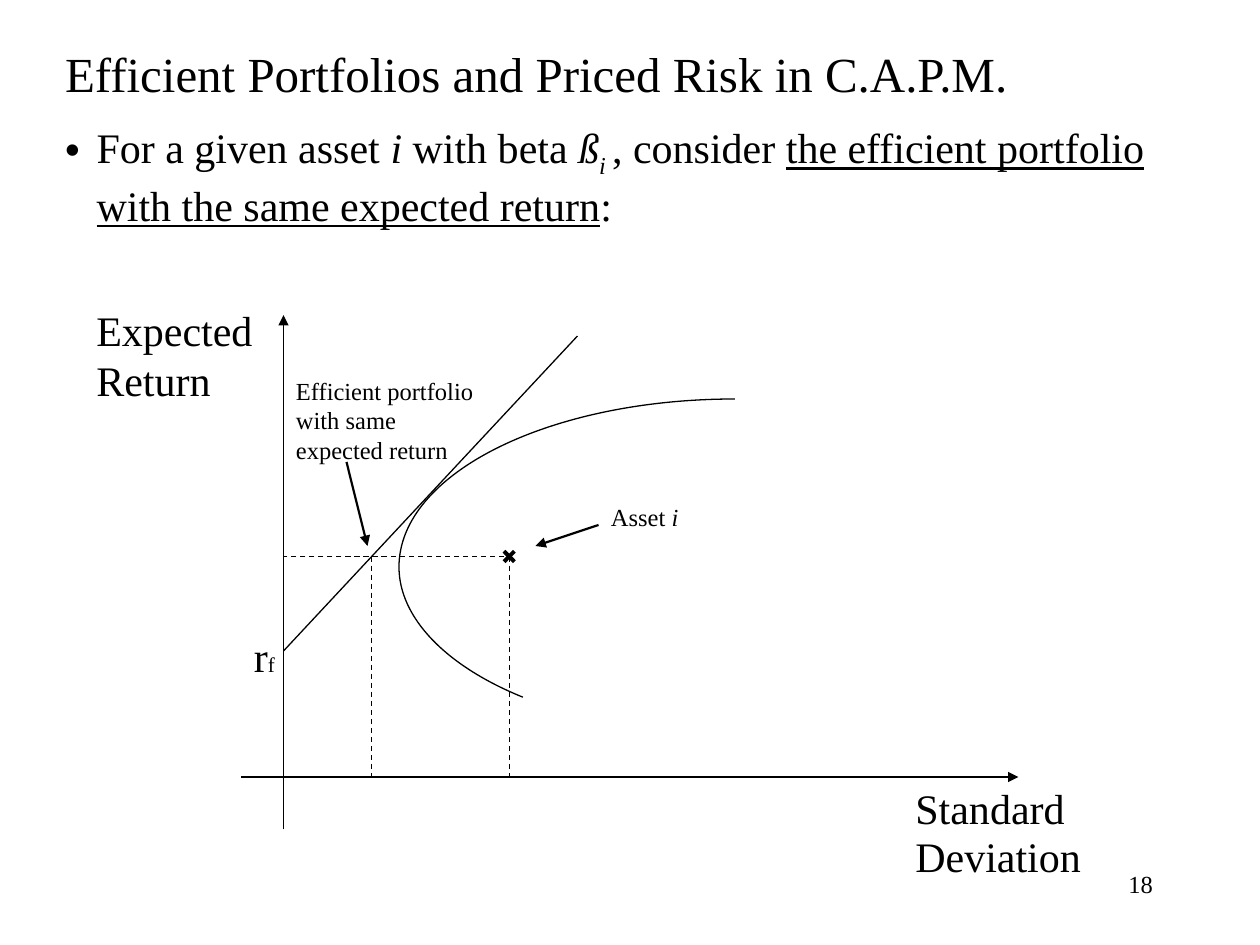
from lxml import etree
from pptx import Presentation
from pptx import util as u
from pptx.dml.color import RGBColor
from pptx.enum import dml, shapes, text
from pptx.oxml.ns import qn

COLORS = {"ink": "000000"}
FONT = "Times New Roman"
CELLS_PER_INCH = 12

AXIS_X, AXIS_Y = 27, 74
RETURN_Y = 53
ASSET_X, EFFICIENT_X = 48.5, 35.4
FRONTIER = [(70, 38), (52.3, 38), (38, 45.1), (38, 54),
            (38, 58.8), (42.4, 63.4), (49.8, 66.4)]


def grid(*cells):
    return [u.Inches(cell / CELLS_PER_INCH) for cell in cells]


def ink():
    return RGBColor.from_string(COLORS["ink"])


def style_line(line, width):
    line.color.rgb = ink()
    line.width = u.Pt(width)


def add_line(page, start, end, width=0.75, dashed=False, arrow=False):
    line = page.shapes.add_connector(
        shapes.MSO_CONNECTOR.STRAIGHT, *grid(*start, *end))
    style_line(line.line, width)
    if dashed:
        line.line.dash_style = dml.MSO_LINE.DASH
    if arrow:
        etree.SubElement(line.line._get_or_add_ln(), qn("a:tailEnd"), type="triangle")
    etree.SubElement(line._element.spPr, qn("a:effectLst"))
    return line


def add_curve(page, points):
    start, *rest = [grid(*point) for point in points]
    builder = page.shapes.build_freeform(*start)
    builder.add_line_segments(rest, close=False)
    curve = builder.convert_to_shape()
    curve.shadow.inherit = False
    curve.fill.background()
    style_line(curve.line, 0.75)
    outline = curve._element.find(".//" + qn("a:path"))
    steps = outline.findall(qn("a:lnTo"))
    for first in range(0, len(steps), 3):
        bezier = etree.SubElement(outline, qn("a:cubicBezTo"))
        for step in steps[first:first + 3]:
            bezier.append(step[0])
            outline.remove(step)


def fill_paragraph(para, spans, size, align=text.PP_ALIGN.LEFT):
    para.alignment = align
    para.space_before = u.Pt(0)
    font = para.font
    font.name, font.size = FONT, u.Pt(size)
    font.color.rgb = ink()
    for words, look in spans:
        span = para.add_run()
        span.text = words
        if "italic" in look:
            span.font.italic = True
        if "underline" in look:
            span.font.underline = True
        if "size" in look:
            span.font.size = u.Pt(look["size"])
        if "baseline" in look:
            span.font._element.set("baseline", str(look["baseline"]))


def set_frame(box, area):
    box.left, box.top, box.width, box.height = grid(*area)
    frame = box.text_frame
    frame.word_wrap = True
    frame.auto_size = text.MSO_AUTO_SIZE.NONE
    frame.vertical_anchor = text.MSO_ANCHOR.TOP
    return frame


def add_label(page, area, lines, size, align=text.PP_ALIGN.LEFT, spacing=1.0):
    frame = set_frame(page.shapes.add_textbox(*grid(*area)), area)
    for number, spans in enumerate(lines):
        para = frame.add_paragraph() if number else frame.paragraphs[0]
        fill_paragraph(para, spans, size, align)
        para.line_spacing = spacing


def add_heading(page):
    frame = set_frame(page.shapes.title, (5, 3.5, 107, 6))
    fill_paragraph(frame.paragraphs[0],
                   [("Efficient Portfolios and Priced Risk in C.A.P.M.", {})], 28)


def add_bullet(page):
    frame = set_frame(page.placeholders[1], (5, 11, 107, 12))
    para = frame.paragraphs[0]
    fill_paragraph(para, [
        ("For a given asset ", {}),
        ("i", {"italic": True}),
        (" with beta ", {}),
        ("ß", {"italic": True}),
        ("i ", {"italic": True, "baseline": -25000}),
        (", consider ", {}),
        ("the efficient portfolio with the same expected return", {"underline": True}),
        (":", {}),
    ], 24)
    layout = para._p.get_or_add_pPr()
    layout.set("marL", str(u.Inches(0.25)))
    layout.set("indent", str(-u.Inches(0.25)))
    bullet = etree.Element(qn("a:buChar"), char="•")
    layout.find(qn("a:defRPr")).addprevious(bullet)


def add_diagram(page):
    add_line(page, (AXIS_X, 79), (AXIS_X, 30), arrow=True)
    add_line(page, (23, AXIS_Y), (97, AXIS_Y), arrow=True)
    add_curve(page, FRONTIER)
    add_line(page, (AXIS_X, 62), (55, 32))
    add_line(page, (48, RETURN_Y), (AXIS_X, RETURN_Y), dashed=True)
    for x in (ASSET_X, EFFICIENT_X):
        add_line(page, (x, RETURN_Y), (x, AXIS_Y), dashed=True)
    for rise in (-0.5, 0.5):
        add_line(page, (ASSET_X - 0.5, RETURN_Y - rise),
                 (ASSET_X + 0.5, RETURN_Y + rise), width=2.25)
    for start, end in (((57, 50), (51, 52)), ((33, 44), (35, 52))):
        add_line(page, start, end, width=1.25, arrow=True)


def add_labels(page):
    add_label(page, (8, 28.4, 19, 10.8), [[("Expected Return", {})]], 24)
    add_label(page, (86, 74.3, 20, 9), [[("Standard", {})], [("Deviation", {})]],
              24, spacing=0.95)
    add_label(page, (23, 59.5, 6, 6), [[("r", {}), ("f", {"size": 12})]], 24)
    add_label(page, (57, 47.2, 11, 4), [[("Asset ", {}), ("i", {"italic": True})]], 14)
    add_label(page, (27, 35.2, 20, 9.7),
              [[("Efficient portfolio with same expected return", {})]], 14)
    add_label(page, (86, 82.2, 25, 6), [[("18", {})]], 14, text.PP_ALIGN.RIGHT)


def main():
    deck = Presentation()
    deck.slide_width, deck.slide_height = u.Inches(10), u.Inches(7.5)
    page = deck.slides.add_slide(deck.slide_layouts[1])
    add_heading(page)
    add_bullet(page)
    add_diagram(page)
    add_labels(page)
    deck.save("out.pptx")


if __name__ == "__main__":
    main()
